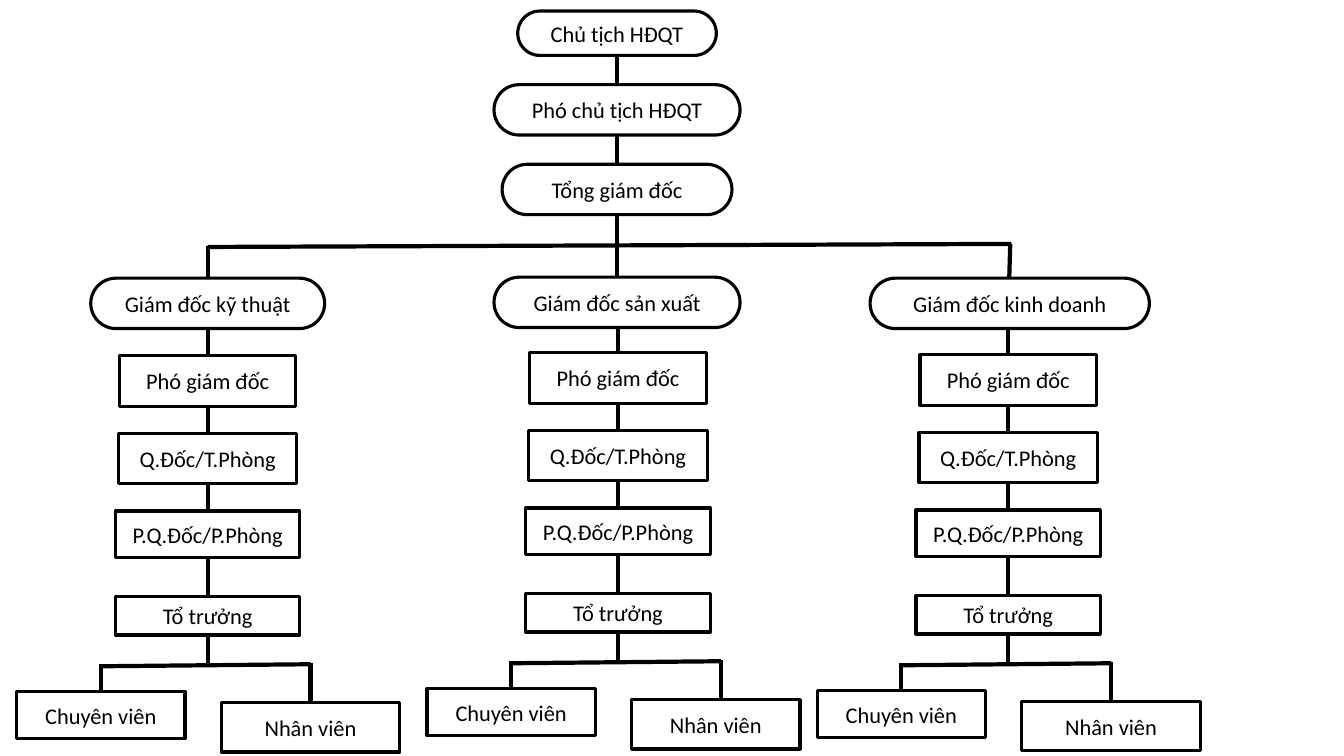
from dataclasses import dataclass
from lxml import etree
from pptx import Presentation
from pptx.dml.color import RGBColor
from pptx.enum.shapes import MSO_CONNECTOR, MSO_SHAPE
from pptx.enum.text import MSO_ANCHOR, PP_ALIGN
from pptx.oxml.ns import qn
from pptx.util import Inches, Pt

RECT, PILL = MSO_SHAPE.RECTANGLE, MSO_SHAPE.ROUNDED_RECTANGLE
LINE = MSO_CONNECTOR.STRAIGHT
MID, CENTER = MSO_ANCHOR.MIDDLE, PP_ALIGN.CENTER


@dataclass
class Theme:
    ink: RGBColor = RGBColor(0, 0, 0)
    paper: RGBColor = RGBColor(255, 255, 255)
    font: str = "Calibri"
    size: float = 16
    edge: float = 2.25
    link: float = 3


theme = Theme()
deck = Presentation()
deck.slide_width, deck.slide_height = Inches(13.33), Inches(7.5)
slide = deck.slides.add_slide(deck.slide_layouts[6])


def box(text, *, mid, top, wide, high, kind=RECT):
    """Draw a box centred on mid."""
    shape = slide.shapes.add_shape(
        kind, Inches(mid - wide / 2), Inches(top), Inches(wide), Inches(high))
    if kind == PILL:
        shape.adjustments[0] = 0.5
    shape.shadow.inherit = False
    shape.fill.solid()
    shape.fill.fore_color.rgb = theme.paper
    shape.line.color.rgb = theme.ink
    shape.line.width = Pt(theme.edge)
    frame = shape.text_frame
    frame.word_wrap = True
    frame.vertical_anchor = MID
    para = frame.paragraphs[0]
    para.alignment = CENTER
    run = para.add_run()
    run.text = text
    run.font.name, run.font.size = theme.font, Pt(theme.size)
    run.font.color.rgb = theme.ink


def link(x1, y1, x2, y2):
    """Draw a plain line between two points."""
    line = slide.shapes.add_connector(
        LINE, Inches(x1), Inches(y1), Inches(x2), Inches(y2))
    line.line.color.rgb = theme.ink
    line.line.width = Pt(theme.link)
    etree.SubElement(line._element.spPr, qn("a:effectLst"))


# Board: text, top, width, height, and the top of the next box
axis = 6.12
board = [
    ("Chủ tịch HĐQT", 0.11, 1.97, 0.44, 0.84),
    ("Phó chủ tịch HĐQT", 0.84, 2.44, 0.5, 1.63),
    ("Tổng giám đốc", 1.63, 2.28, 0.5, 2.75),
]
for text, top, wide, high, below in board:
    link(axis, top + high, axis, below)
    box(text, mid=axis, top=top, wide=wide, high=high, kind=PILL)

# Main branch
link(2.06, 2.45, 10.03, 2.42)
link(2.06, 2.44, 2.06, 2.76)
link(10.02, 2.42, 10.01, 2.76)

# Divisions: director, centre, top, width, top of chain, width of staff box
units = [
    ("Giám đốc kỹ thuật", 2.06, 2.76, 2.32, 3.53, 1.77),
    ("Giám đốc sản xuất", 6.13, 2.75, 2.44, 3.5, 1.67),
    ("Giám đốc kinh doanh", 10, 2.76, 2.77, 3.52, 1.77),
]
# Chain: text, drop from the top of the chain, width, height
chain = [
    ("Phó giám đốc", 0, 1.75, 0.5),
    ("Q.Đốc/T.Phòng", 0.77, 1.77, 0.5),
    ("P.Q.Đốc/P.Phòng", 1.54, 1.83, 0.46),
    ("Tổ trưởng", 2.39, 1.83, 0.38),
]
for head, mid, top, wide, start, staff in units:
    shift = 0.015 if mid > 9 else -0.01 if mid > 6 else 0
    box(head, mid=mid + shift, top=top, wide=wide, high=0.5, kind=PILL)

    # Chain of command
    last = top + 0.5
    for text, drop, span, high in chain:
        link(mid, last, mid, start + drop)
        box(text, mid=mid, top=start + drop, wide=span, high=high)
        last = start + drop + high

    # Fork to the two staff boxes
    left, right, fork = mid - 1.06, mid + 1.02, start + 3.08
    link(mid, last, mid, fork)
    link(left, fork, right, fork - 0.02)
    link(left, fork - 0.02, left, start + 3.33)
    link(right, fork - 0.03, right, start + 3.44)
    box("Chuyên viên", mid=left, top=start + 3.33, wide=1.67, high=0.47)
    box("Nhân viên", mid=right + (0 if staff > 1.7 else -0.05),
        top=start + 3.44, wide=staff, high=0.49)

deck.save("out.pptx")
